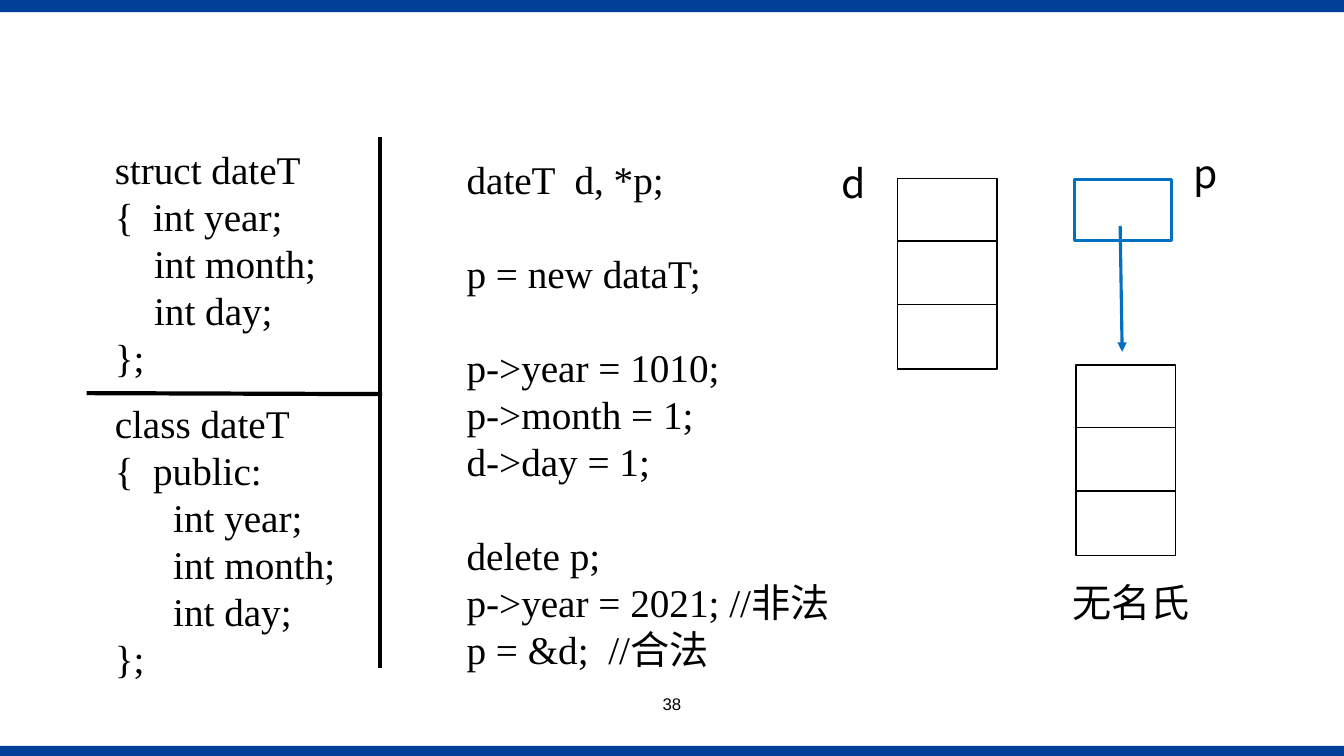
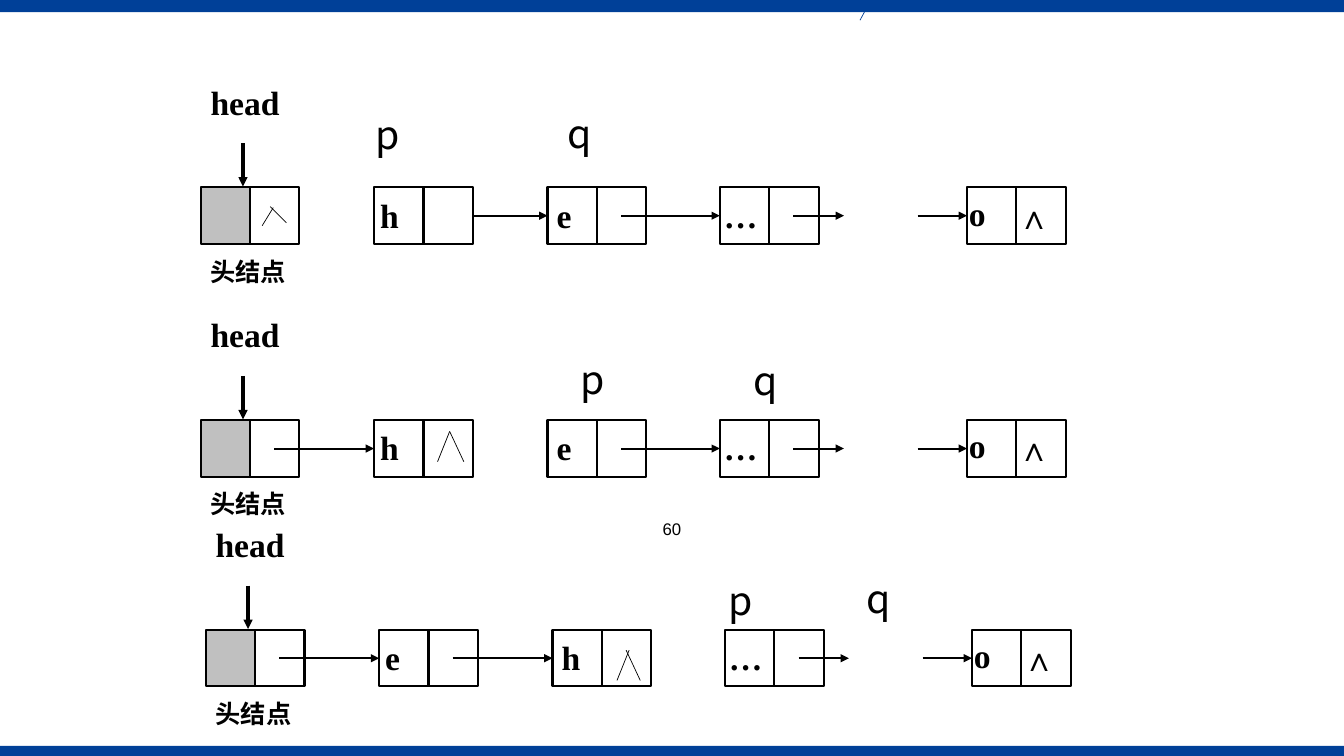
from lxml.etree import SubElement
from pptx import Presentation
from pptx.dml.color import RGBColor
from pptx.enum.shapes import MSO_CONNECTOR, MSO_SHAPE
from pptx.enum.text import PP_ALIGN
from pptx.oxml.ns import qn
from pptx.util import Pt

SCALE = 9144
WIDTH, HEIGHT = 1333, 750
BLACK, GREY, NAVY, BLUE = "000000", "C0C0C0", "004098", "0070C0"
SERIF, SANS, CJK = "Times New Roman", "Arial", "Noto Sans CJK SC"
CELL_W, CELL_H = 49, 56


def px(*lengths):
    return [length * SCALE for length in lengths]


def color(hex_code):
    return RGBColor.from_string(hex_code)


class Deck:
    def __init__(self):
        self.prs = Presentation()
        self.prs.slide_width, self.prs.slide_height = px(WIDTH, HEIGHT)
        self.shapes = None

    def new_slide(self, number, number_top):
        self.shapes = self.prs.slides.add_slide(self.prs.slide_layouts[6]).shapes
        self.box(0, 740, WIDTH, 10, NAVY, None)
        self.box(0, 0, WIDTH, 12, NAVY, None)
        self.text(508, number_top, 317, 50, [number], 12, SANS, align=PP_ALIGN.CENTER)

    def box(self, x, y, w, h, fill=None, line=BLACK, weight=1.5):
        shape = self.shapes.add_shape(MSO_SHAPE.RECTANGLE, *px(x, y, w, h))
        shape.shadow.inherit = False
        if fill:
            shape.fill.solid()
            shape.fill.fore_color.rgb = color(fill)
        else:
            shape.fill.background()
        if line:
            shape.line.color.rgb = color(line)
            shape.line.width = Pt(weight)
        else:
            shape.line.fill.background()
        return shape

    def line(self, x1, y1, x2, y2, weight=1.5, ink=BLACK, arrow=False):
        rule = self.shapes.add_connector(MSO_CONNECTOR.STRAIGHT, *px(x1, y1, x2, y2))
        rule.line.color.rgb = color(ink)
        rule.line.width = Pt(weight)
        if arrow:
            SubElement(rule.line._get_or_add_ln(), qn("a:tailEnd"), type="triangle")
        SubElement(rule._element.spPr, qn("a:effectLst"))
        return rule

    def text(self, x, y, w, h, lines, size, font=SERIF, bold=False,
             inset=True, align=PP_ALIGN.LEFT, leading=1.2):
        frame = self.shapes.add_textbox(*px(x, y, w, h)).text_frame
        frame.word_wrap = True
        if not inset:
            frame.margin_left = frame.margin_right = 0
            frame.margin_top = frame.margin_bottom = 0
        for index, entry in enumerate(lines):
            wording, indent, gap = entry if isinstance(entry, tuple) else (entry, 0, 0)
            paragraph = frame.paragraphs[0] if index == 0 else frame.add_paragraph()
            paragraph.text = wording
            paragraph.alignment = align
            paragraph.line_spacing = Pt(size * leading)
            paragraph.space_before = Pt(size * leading * gap)
            paragraph.font.size = Pt(size)
            paragraph.font.name = font
            paragraph.font.bold = bold
            paragraph.font.color.rgb = color(BLACK)
            properties = paragraph._p.get_or_add_pPr()
            properties.set("marL", str(indent * SCALE))
            properties.set("indent", "0")
            SubElement(properties.find(qn("a:defRPr")), qn("a:ea"), typeface=CJK)

    def label(self, x, y, wording, w=70):
        self.text(x, y, w, 57, [wording], 28, CJK, leading=1.3)

    def record(self, x, y):
        self.box(x, y, 99, 189, weight=1)
        for step in (62, 125):
            self.line(x, y + step, x + 99, y + step, 1)

    def node(self, x, y, fill=None):
        return [self.box(x, y, CELL_W, CELL_H, fill),
                self.box(x + CELL_W, y, CELL_W, CELL_H)]

    def letter(self, x, y, wording):
        self.text(x, y, 37, 47, [wording], 24, bold=True, inset=False)

    def chain(self, x, y, letters, links):
        offsets = (0, 172, 344, 515, 760)
        middle = y + CELL_H // 2
        nodes = [self.node(x + offset, y, None if offset else GREY) for offset in offsets]
        for source in links:
            start = x + offsets[source] + CELL_W * 3 // 2
            target = x + offsets[source + 1]
            link = self.line(start, middle, target, middle, arrow=True)
            link.end_connect(nodes[source + 1][0], 1)
        self.line(x + 588, middle, x + 638, middle, arrow=True)
        last_link = self.line(x + 711, middle, x + 760, middle, arrow=True)
        last_link.end_connect(nodes[-1][0], 1)
        for offset, wording in zip((178, 353, 519), letters):
            self.letter(x + offset, y + 7, wording)
        self.letter(x + 762, y + 5, "o")
        self.letter(x + 810, y + 8, "∧")
        self.text(x, y - 110, 104, 66, ["head"], 24, bold=True)
        self.line(x + 42, y - 44, x + 42, y - 1, 2.25, arrow=True)
        self.text(x, y + 63, 102, 40, ["头结点"], 18, bold=True)
        return nodes


def pointer_slide(deck):
    deck.new_slide("38", 683)
    deck.text(104, 391, 300, 293, [
        "class dateT", "{  public:", ("int year;", 58, 0),
        ("int month;", 58, 0), ("int day;", 58, 0), "};"], 28)
    deck.text(453, 149, 504, 528, [
        "dateT  d, *p;", ("p = new dataT;", 0, 1), ("p->year = 1010;", 0, 1),
        "p->month = 1;", "d->day = 1;", ("delete p;", 0, 1),
        "p->year = 2021; //非法", "p = &d;  //合法"], 28)
    deck.text(104, 139, 300, 246, [
        "struct dateT", "{  int year;", ("int month;", 39, 0),
        ("int day;", 39, 0), "};"], 28)
    deck.line(86, 390, 379, 391, 3)
    deck.line(377, 136, 377, 663, 3)
    deck.record(890, 177)
    deck.label(825, 149, "d")
    deck.box(1066, 178, 96, 61, line=BLUE, weight=2.25)
    deck.label(1174, 139, "p")
    deck.record(1067, 362)
    deck.line(1111, 224, 1113, 349, 2.25, BLUE, arrow=True)
    deck.label(1054, 565, "无名氏", 141)


def list_reversal_slide(deck):
    deck.new_slide("60", 510)
    first_stage = deck.chain(199, 186, "he…", [2])
    h_link = deck.line(469, 214, 543, 214, arrow=True)
    h_link.begin_connect(first_stage[1][1], 3)
    h_link.end_connect(first_stage[2][0], 1)
    deck.chain(199, 417, "he…", [0, 2])
    deck.chain(204, 625, "eh…", [0, 1])
    for x, y, wording in ((363, 101, "p"), (553, 100, "q"), (566, 344, "p"),
                          (738, 345, "q"), (713, 563, "p"), (850, 561, "q")):
        deck.label(x, y, wording)
    for null_stroke in ((271, 206, 260, 224), (268, 205, 284, 221),
                        (446, 428, 434, 458), (446, 428, 460, 458),
                        (624, 645, 612, 675), (621, 645, 635, 675)):
        deck.line(*null_stroke, 0.5)
    deck.line(860, 7, 853, 20, 0.5, NAVY)


def main():
    deck = Deck()
    pointer_slide(deck)
    list_reversal_slide(deck)
    deck.prs.save("out.pptx")


if __name__ == "__main__":
    main()
